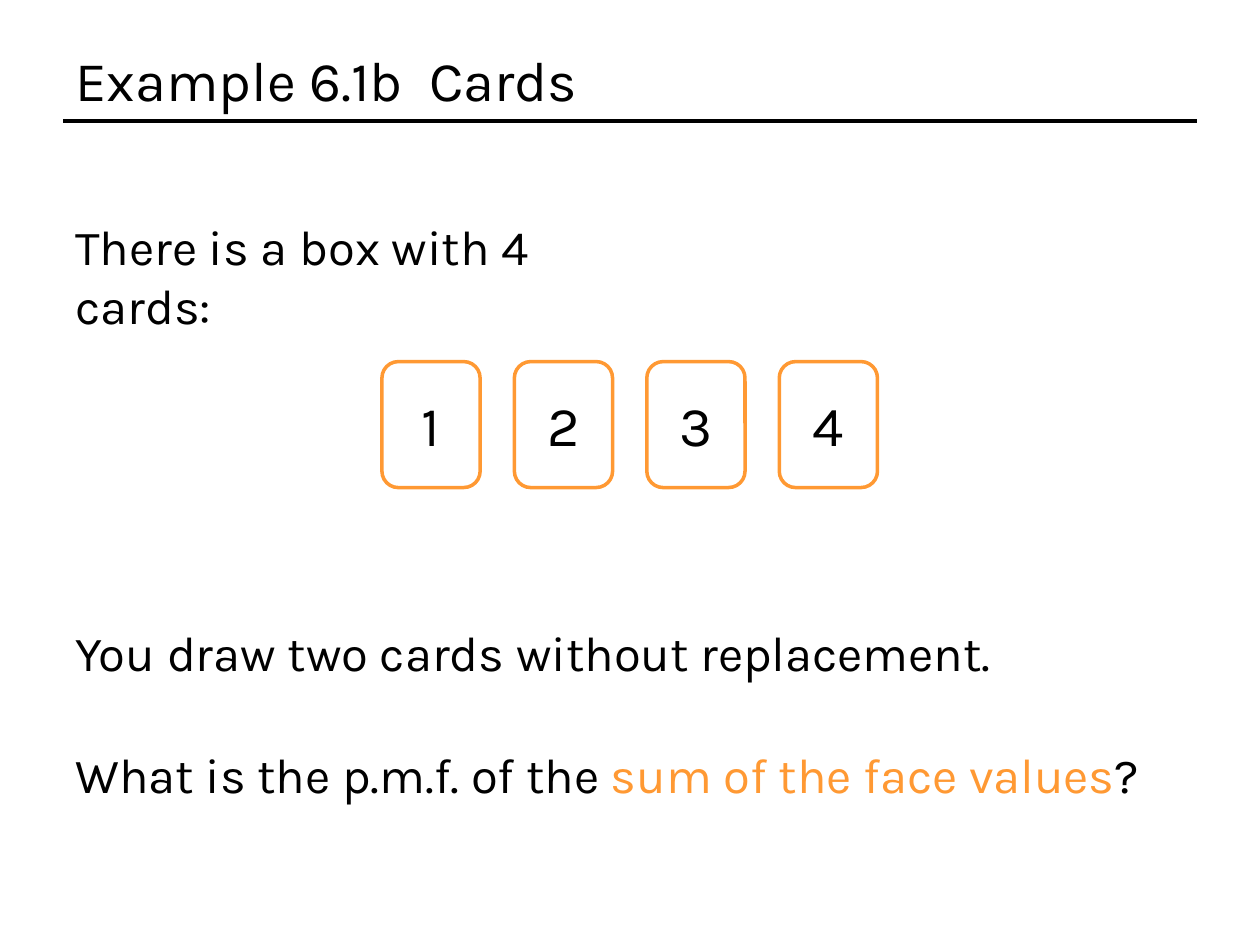
import pptx
import pptx.dml.color
import pptx.enum.shapes
import pptx.enum.text
import pptx.util
from lxml import etree
from pptx.oxml.ns import qn
from pptx.util import Cm

BLACK = "000000"
ORANGE = "FF9933"


def color(hex_text):
    return pptx.dml.color.RGBColor.from_string(hex_text)


def apply_format(target, values):
    """Set each attribute of target named in values."""
    for name, value in values.items():
        setattr(target, name, value)


class SlideBuilder:
    """Holds the text style and the slide being filled."""

    font_name = "Karla"
    line_width = pptx.util.Pt(2)

    def __init__(self, slide):
        self.slide = slide

    def fill_text(self, shape, runs, size, frame_format, alignment):
        frame = shape.text_frame
        apply_format(frame, {"word_wrap": True, **frame_format})
        paragraph = frame.paragraphs[0]
        paragraph.alignment = alignment
        for text, hex_text in runs:
            run = paragraph.add_run()
            run.text = text
            apply_format(run.font, {"name": self.font_name, "size": pptx.util.Pt(size)})
            run.font.color.rgb = color(hex_text)

    def stroke(self, line, hex_text):
        line.color.rgb = color(hex_text)
        line.width = self.line_width

    def text(self, left, top, width, height, runs, size=28, **frame_format):
        box = self.slide.shapes.add_textbox(Cm(left), Cm(top), Cm(width), Cm(height))
        self.fill_text(box, runs, size, frame_format, pptx.enum.text.PP_ALIGN.LEFT)

    def rule(self, left, right, top):
        connector = self.slide.shapes.add_connector(
            pptx.enum.shapes.MSO_CONNECTOR.STRAIGHT, Cm(left), Cm(top), Cm(right), Cm(top))
        self.stroke(connector.line, BLACK)
        properties = connector._element.find(qn("p:spPr"))
        etree.SubElement(properties, qn("a:effectLst"))

    def card(self, left, top, width, height, label):
        card = self.slide.shapes.add_shape(
            pptx.enum.shapes.MSO_SHAPE.ROUNDED_RECTANGLE,
            Cm(left), Cm(top), Cm(width), Cm(height))
        card.shadow.inherit = False
        card.fill.background()
        self.stroke(card.line, ORANGE)
        self.fill_text(card, [(label, BLACK)], 32,
                       {"vertical_anchor": pptx.enum.text.MSO_ANCHOR.MIDDLE},
                       pptx.enum.text.PP_ALIGN.CENTER)


def main():
    presentation = pptx.Presentation()
    apply_format(presentation, {"slide_width": Cm(25.4), "slide_height": Cm(19.05)})
    builder = SlideBuilder(presentation.slides.add_slide(presentation.slide_layouts[6]))

    margin, content_width = 1.27, 22.86
    builder.rule(margin, margin + content_width, 2.44)
    builder.text(margin, 0.76, content_width, 1.68, [("Example 6.1b  Cards", BLACK)],
                 size=32, vertical_anchor=pptx.enum.text.MSO_ANCHOR.MIDDLE)

    card_width, card_pitch = 1.98, 2.67
    for index, label in enumerate("1234"):
        builder.card(7.7 + index * card_pitch, 7.29, card_width, 2.54, label)

    statements = [
        (4.24, 12.19, [("There is a box with 4 cards:", BLACK)]),
        (12.42, content_width, [("You draw two cards without replacement.", BLACK)]),
        (14.88, content_width, [("What is the p.m.f. of the ", BLACK),
                                ("sum of the face values", ORANGE), ("?", BLACK)]),
    ]
    for top, width, runs in statements:
        builder.text(margin, top, width, 1.45, runs,
                     auto_size=pptx.enum.text.MSO_AUTO_SIZE.SHAPE_TO_FIT_TEXT)

    presentation.save("out.pptx")


if __name__ == "__main__":
    main()
